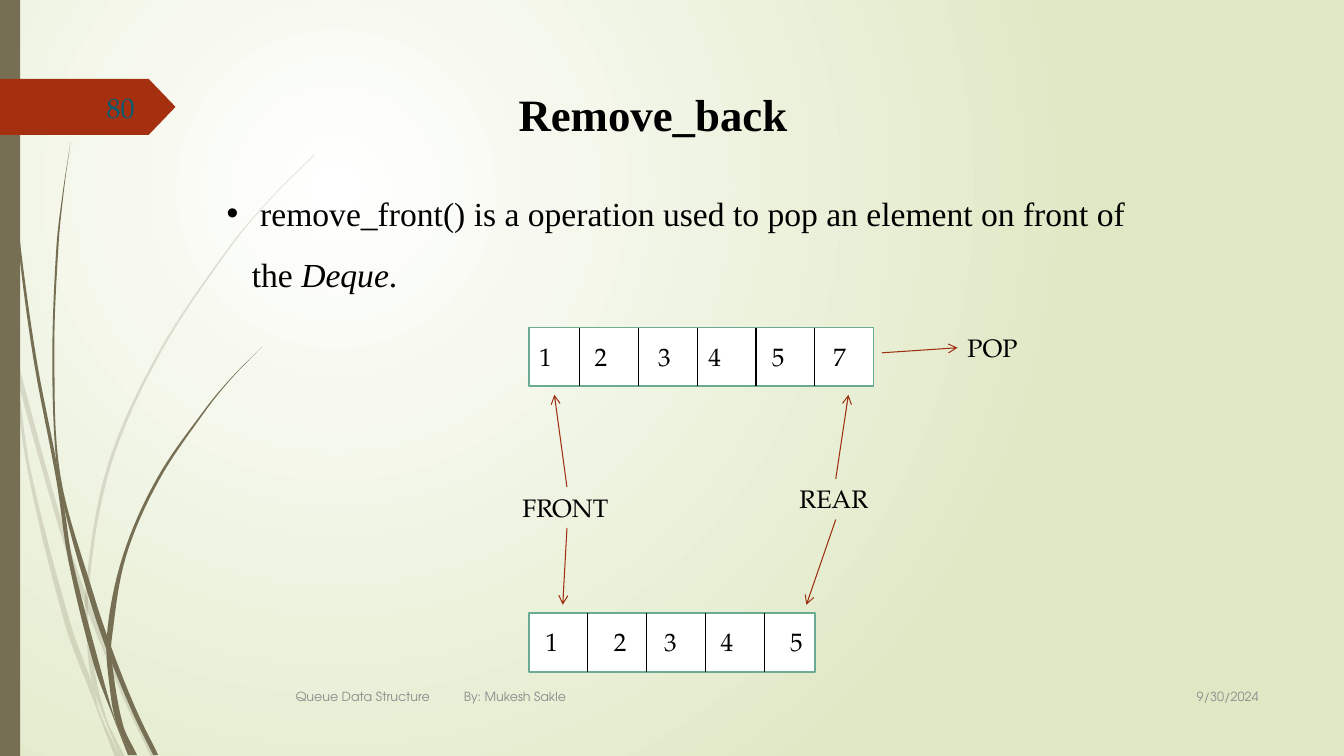
from dataclasses import dataclass

from lxml.etree import SubElement
from pptx import Presentation
from pptx.dml.color import RGBColor
from pptx.enum.shapes import MSO_CONNECTOR, MSO_SHAPE
from pptx.enum.text import MSO_ANCHOR, PP_ALIGN
from pptx.oxml.ns import qn
from pptx.util import Emu, Inches, Pt

TOP, LEFT, BOTTOM = 0, 1, 2  # connection sites of a rectangle
CELL = 7  # side of one deque cell, in grid units


@dataclass(frozen=True)
class Theme:
    grid: int = Inches(1) // 12
    columns: int = 160
    rows: int = 90
    paper: str = "FFFFFF"
    meadow: str = "DFE8C4"
    bark: str = "766F54"
    flag: str = "A53010"
    arrow: str = "9E2E0F"
    frame: str = "6AAC91"
    ink: str = "000000"
    muted: str = "8C8C8C"
    number: str = "045C75"
    serif: str = "Times New Roman"
    book: str = "TeX Gyre Pagella"
    sans: str = "TeX Gyre Adventor"
    title_size: int = 32
    body_size: int = 24
    number_size: int = 20
    label_size: int = 18
    footer_size: int = 9
    frame_width: float = 1.25
    line_width: float = 0.75


# Each stalk: left edge downwards, then right edge upwards, in inches
BACK_STALKS = [
    ([(0, 2.99), (0.1, 3.44), (0.17, 3.76), (0.58, 5.22), (0.84, 5.99),
      (1.23, 6.94), (1.5, 7.51)],
     [(1.55, 7.51), (1.27, 6.92), (0.92, 6.07), (0.62, 5.2), (0.14, 3.45),
      (0.09, 3.22), (0, 2.82)]),
    ([(0.11, 3.5), (0.28, 4.7), (0.65, 6.21), (0.92, 6.93), (1.14, 7.51)],
     [(1.19, 7.51), (0.99, 7.07), (0.93, 6.83), (0.7, 6.19), (0.31, 4.69),
      (0.17, 3.76), (0.11, 3.5)]),
    ([(3.12, 1.53), (2.68, 1.97), (2.28, 2.44), (1.58, 3.48), (1.07, 4.61),
      (0.85, 5.84), (0.87, 6.46), (0.93, 6.83), (1.19, 7.51)],
     [(1.24, 7.51), (1.05, 7.11), (0.91, 6.46), (0.88, 5.84), (1.1, 4.62),
      (1.6, 3.49), (2.29, 2.45), (2.68, 1.98), (3.12, 1.54)]),
]
FRONT_STALKS = [
    ([(0.03, 0), (0.07, 1.1), (0.17, 2.33), (0.33, 3.55), (0.56, 4.77),
      (0.68, 5.57), (0.93, 6.59), (1.11, 7.08), (1.27, 7.49)],
     [(1.31, 7.49), (1.17, 7.22), (0.98, 6.57), (0.72, 5.56), (0.64, 5.05),
      (0.55, 4.53), (0.36, 3.55), (0.19, 2.32), (0.08, 1.09), (0.04, 0)]),
    ([(0.7, 1.41), (0.62, 1.93), (0.56, 2.45), (0.52, 3.49), (0.55, 4.49),
      (0.64, 5.05), (0.88, 5.92), (1.06, 6.45), (1.32, 7.08), (1.52, 7.49)],
     [(1.57, 7.49), (1.36, 7.06), (1.13, 6.49), (0.93, 5.9), (0.6, 4.72),
      (0.54, 3.49), (0.58, 2.45), (0.63, 1.93), (0.7, 1.41)]),
    ([(2.6, 3.44), (2.31, 3.73), (2.04, 4.05), (1.56, 4.74), (1.22, 5.51),
      (1.06, 6.31), (1.1, 6.91), (1.17, 7.22), (1.31, 7.49)],
     [(1.36, 7.49), (1.22, 7.19), (1.11, 6.56), (1.11, 6.33), (1.25, 5.52),
      (1.58, 4.76), (2.05, 4.06), (2.31, 3.74), (2.6, 3.44)]),
]


def smooth(knots, steps=8):
    """Cubic curve x(y) through knots whose y runs one way."""
    neighbours = zip(knots[:1] + knots, knots[1:] + knots[-1:])
    slopes = [(b[0] - a[0]) / (b[1] - a[1]) for a, b in neighbours]
    points = [knots[0]]
    for i, ((x0, y0), (x1, y1)) in enumerate(zip(knots, knots[1:])):
        rise = y1 - y0
        for step in range(1, steps + 1):
            t = step / steps
            blend = t * t * (3 - 2 * t)
            bend = t * (1 - t) * rise * (slopes[i] * (1 - t) - slopes[i + 1] * t)
            points.append((x0 + (x1 - x0) * blend + bend, y0 + rise * t))
    return points


class SlideBuilder:
    def __init__(self, slide, theme):
        self.slide, self.shapes, self.theme = slide, slide.shapes, theme

    def units(self, *lengths):
        return [Emu(round(length * self.theme.grid)) for length in lengths]

    def background(self):
        fill = self.slide.background.fill
        fill.gradient()
        for stop, color, place in zip(
                fill.gradient_stops, (self.theme.paper, self.theme.meadow), (0, 1)):
            stop.color.rgb, stop.position = RGBColor.from_string(color), place
        gradient = self.slide.element.find(".//" + qn("a:gradFill"))
        for linear in gradient.findall(qn("a:lin")):
            gradient.remove(linear)
        circle = SubElement(gradient, qn("a:path"), path="circle")
        SubElement(circle, qn("a:fillToRect"), l="50000", t="50000", r="100000", b="100000")

    def paint(self, shape, fill, line=None):
        shape.shadow.inherit = False
        shape.fill.solid()
        shape.fill.fore_color.rgb = RGBColor.from_string(fill)
        if line:
            shape.line.color.rgb = RGBColor.from_string(line)
            shape.line.width = Pt(self.theme.frame_width)
        else:
            shape.line.fill.background()
        return shape

    def stalk(self, left_edge, right_edge, opacity=100):
        outline = [(Inches(x), Inches(y)) for x, y in smooth(left_edge) + smooth(right_edge)]
        builder = self.shapes.build_freeform(*outline[0], scale=1)
        builder.add_line_segments(outline[1:], close=True)
        stalk = self.paint(builder.convert_to_shape(), self.theme.bark)
        if opacity < 100:
            color = stalk.element.spPr.find(".//" + qn("a:srgbClr"))
            SubElement(color, qn("a:alpha"), val=str(opacity * 1000))

    def block(self, area, fill, line=None, kind=MSO_SHAPE.RECTANGLE):
        return self.paint(self.shapes.add_shape(kind, *self.units(*area)), fill, line)

    def line(self, start, end, color, origin=None, arrow=False):
        """Straight line; origin is a (shape, site) pair to start from."""
        line = self.shapes.add_connector(MSO_CONNECTOR.STRAIGHT, *self.units(*start, *end))
        if origin:
            line.begin_connect(*origin)
        line.line.color.rgb = RGBColor.from_string(color)
        line.line.width = Pt(self.theme.line_width)
        if arrow:
            SubElement(line.line._get_or_add_ln(), qn("a:tailEnd"), type="arrow")
        SubElement(line.element.spPr, qn("a:effectLst"))

    def text(self, area, runs, size, font, color, bold=False, align=PP_ALIGN.LEFT,
             anchor=MSO_ANCHOR.TOP, wrap=True, inset=0.1, tabs=(), bullet=None, spacing=None):
        """Text box; runs are (text, italic) pairs or a string, tabs are inches."""
        box = self.shapes.add_textbox(*self.units(*area))
        frame = box.text_frame
        frame.word_wrap, frame.vertical_anchor = wrap, anchor
        frame.margin_left = Inches(inset)
        paragraph = frame.paragraphs[0]
        paragraph.alignment = align
        if spacing:
            paragraph.line_spacing = spacing
        properties = paragraph._p.get_or_add_pPr()
        if bullet:
            properties.set("marL", str(Inches(0.5)))
            properties.set("indent", str(Inches(-0.25)))
            SubElement(properties, qn("a:buFont"), typeface="Arial")
            SubElement(properties, qn("a:buChar"), char=bullet)
        if tabs:
            stops = SubElement(properties, qn("a:tabLst"))
            for tab in tabs:
                SubElement(stops, qn("a:tab"), pos=str(Inches(tab)), algn="l")
        style = paragraph.font
        style.size, style.name, style.bold = Pt(size), font, bold
        style.color.rgb = RGBColor.from_string(color)
        for words, italic in [(runs, False)] if isinstance(runs, str) else runs:
            run = paragraph.add_run()
            run.text = words
            if italic:
                run.font.italic = True
        return box

    def label(self, area, words, **layout):
        return self.text(area, words, self.theme.label_size, self.theme.book,
                         self.theme.ink, **layout)

    def deque(self, top, width, first_divider, values, inset, tabs):
        left = 63
        self.block((left, top, width, CELL), self.theme.paper, self.theme.frame)
        for gap in range(len(values) - 1):
            x = first_divider + gap * CELL
            self.line((x, top), (x, top + CELL), self.theme.ink)
        self.label((left, top + 1, width, 4.85), "\t".join(values), inset=inset, tabs=tabs)


def main():
    theme = Theme()
    deck = Presentation()
    deck.slide_width = theme.columns * theme.grid
    deck.slide_height = theme.rows * theme.grid
    page = SlideBuilder(deck.slides.add_slide(deck.slide_layouts[6]), theme)

    page.background()
    for edges in BACK_STALKS:
        page.stalk(*edges, opacity=20)
    for edges in FRONT_STALKS:
        page.stalk(*edges)
    page.block((0, 0, 2.4, theme.rows), theme.bark)
    flag = page.block((0, 9.4, 20.9, 6.65), theme.flag, kind=MSO_SHAPE.PENTAGON)
    flag.adjustments[0] = 0.48

    page.text((23.75, 9.35, 108, 8.4), "Remove_back", theme.title_size, theme.serif, theme.ink,
              bold=True, align=PP_ALIGN.CENTER, anchor=MSO_ANCHOR.MIDDLE)
    page.text((22.8, 20, 113.2, 15.75),
              [(" remove_front() is a operation used to pop an element on front of the ", False),
               ("Deque", True), (".", False)],
              theme.body_size, theme.serif, theme.ink, bullet="•", spacing=1.5)

    page.deque(39, 41, 69, "123457", 0.1, (0.55, 1.18, 1.68, 2.31, 2.92))
    page.deque(73, 34, 70, "12345", 0.16, (0.68, 1.18, 1.74, 2.43))

    front = page.label((61, 58, 13, 4.85), "FRONT")
    rear = page.label((94, 57, 11, 4.85), "REAR")
    pop = page.label((114, 39, 8.4, 4.85), "POP", wrap=False)
    for origin, start, end in [
        ((front, TOP), (67.5, 58), (66, 47)),
        ((front, BOTTOM), (67.5, 62.85), (67, 72)),
        ((rear, TOP), (99.5, 57), (101, 47)),
        ((rear, BOTTOM), (99.5, 61.85), (96, 72)),
    ]:
        page.line(start, end, theme.arrow, origin, arrow=True)
    page.line((105, 42), (114, 41.4), theme.arrow, arrow=True)

    page.text((7, 10.35, 10.2, 4.8), "80", theme.number_size, theme.book, theme.number,
              align=PP_ALIGN.RIGHT, anchor=MSO_ANCHOR.MIDDLE)
    footer = (theme.footer_size, theme.sans, theme.muted)
    page.text((34, 80.5, 100, 4.8), "Queue Data Structure\tBy: Mukesh Sakle", *footer,
              anchor=MSO_ANCHOR.MIDDLE, tabs=(1.67,))
    page.text((136, 80.45, 15, 4.9), "9/30/2024", *footer,
              align=PP_ALIGN.RIGHT, anchor=MSO_ANCHOR.MIDDLE)
    deck.save("out.pptx")


if __name__ == "__main__":
    main()
